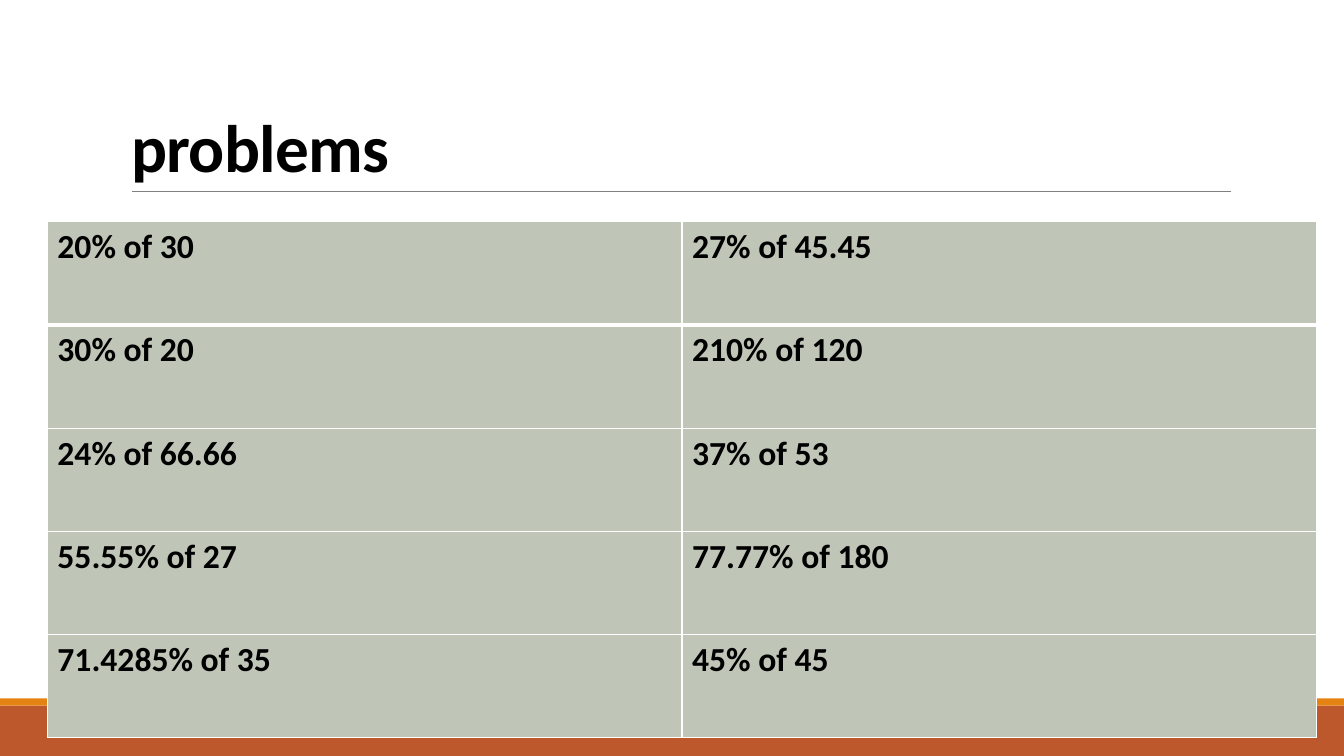
"""Build a slide with a table of percentage problems."""
from lxml.etree import SubElement
from pptx import Presentation
from pptx.dml.color import RGBColor
from pptx.enum.shapes import MSO_CONNECTOR, MSO_SHAPE
from pptx.enum.text import MSO_ANCHOR, PP_ALIGN
from pptx.oxml.ns import qn
from pptx.util import Inches, Pt

TITLE = "problems"
ROWS = [
    ("20% of 30", "27% of 45.45"),
    ("30% of 20", "210% of 120"),
    ("24% of 66.66", "37% of 53"),
    ("55.55% of 27", "77.77% of 180"),
    ("71.4285% of 35", "45% of 45"),
]
RUST = RGBColor(0xBD, 0x58, 0x2C)
ORANGE = RGBColor(0xE4, 0x83, 0x12)
GRAY = RGBColor(0x80, 0x80, 0x80)
SAGE = RGBColor(0xBF, 0xC6, 0xB8)
BLACK = RGBColor(0, 0, 0)
BANDS = [(7, 0.5, RUST), (6.93, 0.07, ORANGE)]
WIDE, HIGH = 13.33, 7.5


def style(para, size):
    for run in para.runs:
        font = run.font
        font.name, font.size, font.bold = "Calibri", Pt(size), True
        font.color.rgb = BLACK


def add_edges(cell, first):
    props = cell._tc.get_or_add_tcPr()
    for spot, side in enumerate(("lnL", "lnR", "lnT", "lnB")):
        width = 3 if first and side == "lnB" else 1
        edge = props.makeelement(qn("a:" + side), {"w": str(Pt(width))})
        fill = SubElement(edge, qn("a:solidFill"))
        SubElement(fill, qn("a:srgbClr"), val="FFFFFF")
        props.insert(spot, edge)


def add_bands(slide):
    for top, height, color in BANDS:
        band = slide.shapes.add_shape(
            MSO_SHAPE.RECTANGLE, 0, Inches(top), Inches(WIDE), Inches(height))
        band.shadow.inherit = False
        band.fill.solid()
        band.fill.fore_color.rgb = color
        band.line.fill.background()


def add_rule(slide):
    rule = slide.shapes.add_connector(
        MSO_CONNECTOR.STRAIGHT, Inches(1.31), Inches(1.9), Inches(12.21), Inches(1.9))
    rule.line.color.rgb = GRAY
    rule.line.width = Pt(0.5)
    SubElement(rule._element.spPr, qn("a:effectLst"))


def set_title(slide):
    title = slide.shapes.title
    title.left, title.top = Inches(1.2), Inches(0.31)
    title.width, title.height = Inches(11), Inches(1.59)
    frame = title.text_frame
    frame.text = TITLE
    frame.vertical_anchor = MSO_ANCHOR.BOTTOM
    para = frame.paragraphs[0]
    para.alignment = PP_ALIGN.LEFT
    para.line_spacing = 0.85
    style(para, 48)
    para.runs[0].font._element.set("spc", "-50")


def add_grid(slide):
    grid = slide.shapes.add_table(
        len(ROWS), len(ROWS[0]), Inches(0.47), Inches(2.2), Inches(12.59), Inches(5.12)).table
    grid.first_row = grid.horz_banding = False
    for i, row in enumerate(ROWS):
        for j, text in enumerate(row):
            cell = grid.cell(i, j)
            cell.fill.solid()
            cell.fill.fore_color.rgb = SAGE
            para = cell.text_frame.paragraphs[0]
            para.text = text
            style(para, 24)
            add_edges(cell, i == 0)


def main():
    deck = Presentation()
    deck.slide_width, deck.slide_height = Inches(WIDE), Inches(HIGH)
    slide = deck.slides.add_slide(deck.slide_layouts[5])
    add_bands(slide)
    add_rule(slide)
    set_title(slide)
    add_grid(slide)
    deck.save("out.pptx")


if __name__ == "__main__":
    main()
